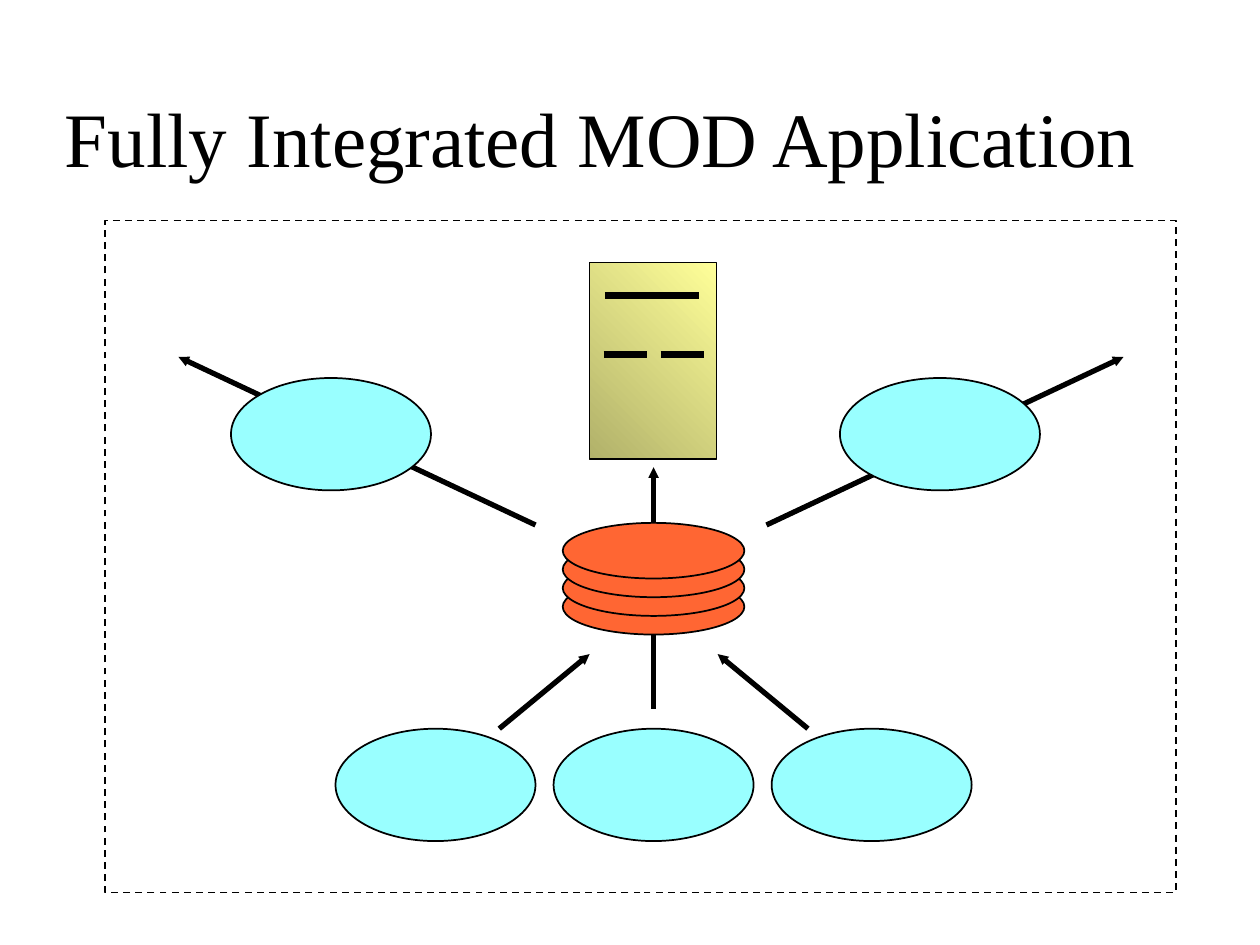
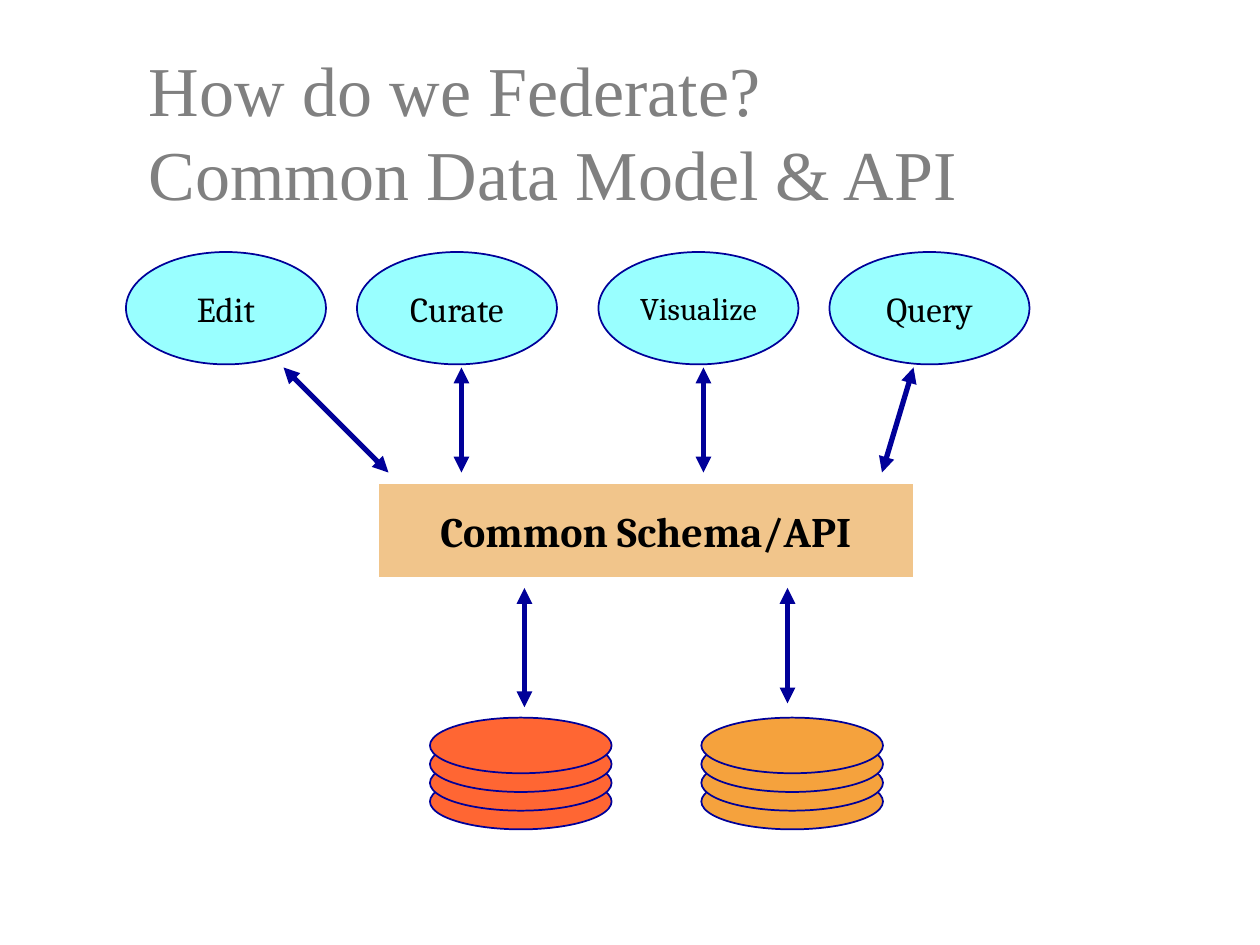
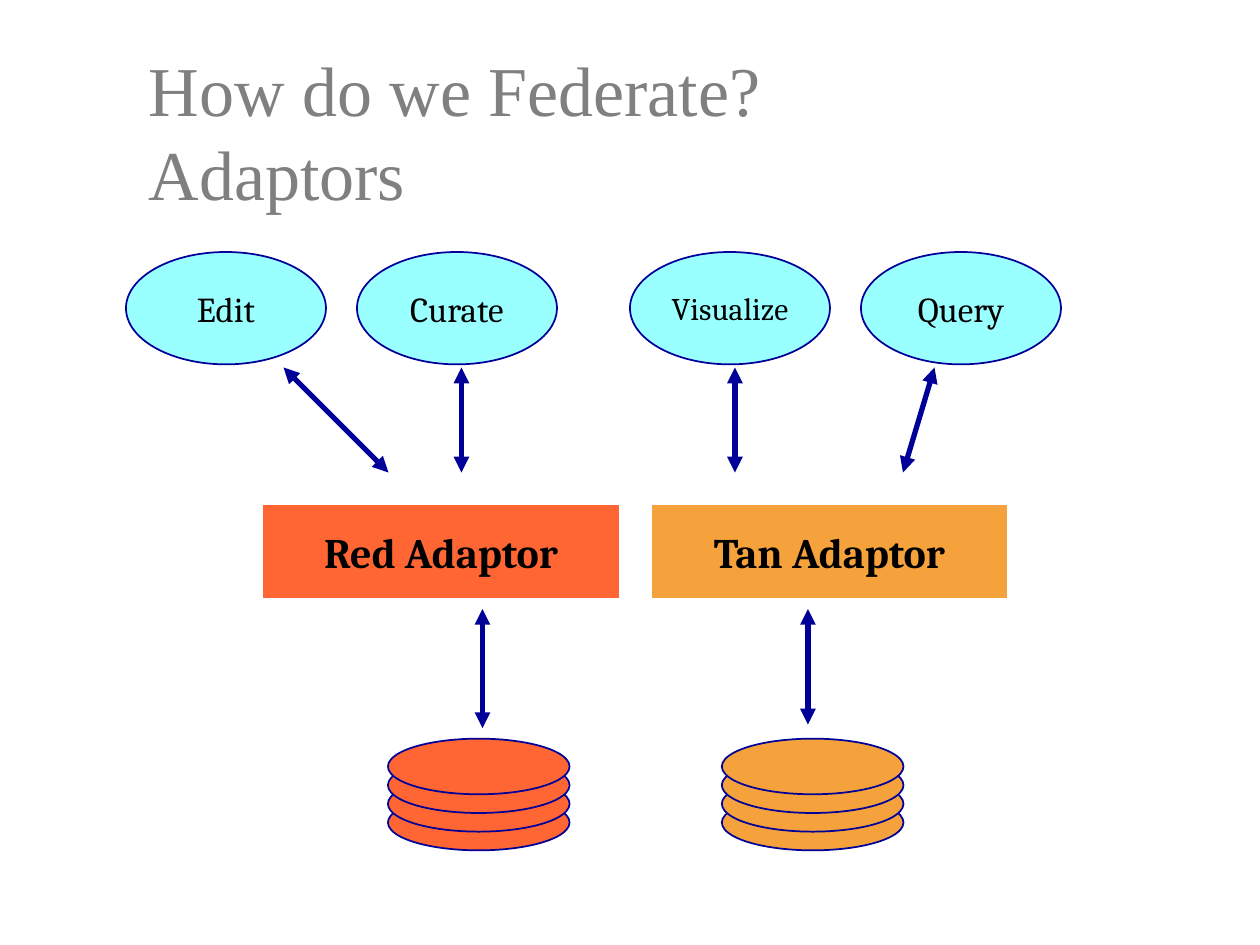
from lxml.etree import SubElement
from pptx import Presentation
from pptx.dml.color import RGBColor
from pptx.enum.dml import MSO_LINE
from pptx.enum.shapes import MSO_CONNECTOR, MSO_SHAPE
from pptx.enum.text import MSO_ANCHOR, PP_ALIGN
from pptx.oxml.ns import qn
from pptx.util import Inches, Pt

# The slide is a grid of 120 columns by 90 rows.
COLS, ROWS = 120, 90
BLACK, WHITE, GRAY, NAVY = "000000", "FFFFFF", "808080", "000099"
CYAN, RED, TAN, PALE_TAN = "99FFFF", "FF6633", "F5A23D", "F1C58B"
PAPER_LIGHT, PAPER_DARK = "FFFF99", "B1B16A"
SERIF, LABEL_FONT = "Times New Roman", "Cambria"
TOOL_W, TOOL_H = 19.05, 10.7
DISC_W, DISC_H, DISC_STEP, DISCS = 17.3, 5.3, 1.78, 4

prs = Presentation()
prs.slide_width, prs.slide_height = Inches(10), Inches(7.5)


def grid(*values):
    return [int(prs.slide_width * v / COLS) for v in values]


def rgb(color):
    return RGBColor.from_string(color)


def style_text(p, text, size, font, color, bold=False):
    p.text = text
    for r in p.runs:
        r.font.size, r.font.name, r.font.bold = Pt(size), font, bold
        r.font.color.rgb = rgb(color)


def add_slide(title, box, size, color):
    s = prs.slides.add_slide(prs.slide_layouts[6])
    tf = s.shapes.add_textbox(*grid(*box)).text_frame
    tf.word_wrap = True
    tf.vertical_anchor = MSO_ANCHOR.BOTTOM
    style_text(tf.paragraphs[0], title, size, SERIF, color)
    return s


def add_node(s, kind, box, fill, line, text="", size=20, bold=False):
    sp = s.shapes.add_shape(kind, *grid(*box))
    sp.shadow.inherit = False
    if fill:
        sp.fill.solid()
        sp.fill.fore_color.rgb = rgb(fill)
    else:
        sp.fill.background()
    sp.line.color.rgb = rgb(line)
    sp.line.width = Pt(1)
    if text:
        tf = sp.text_frame
        tf.word_wrap = False
        tf.vertical_anchor = MSO_ANCHOR.MIDDLE
        p = tf.paragraphs[0]
        style_text(p, text, size, LABEL_FONT, BLACK, bold)
        p.alignment = PP_ALIGN.CENTER
    return sp


def add_line(s, x1, y1, x2, y2, color=BLACK, width=3, ends=(), head="sm"):
    """Draw a line with an arrowhead at each of the given ends."""
    line = s.shapes.add_connector(MSO_CONNECTOR.STRAIGHT, *grid(x1, y1, x2, y2))
    line.line.color.rgb = rgb(color)
    line.line.width = Pt(width)
    ln = line.line._get_or_add_ln()
    for end in ends:
        SubElement(ln, qn(f"a:{end}"), type="triangle", w=head, len=head)
    SubElement(line._element.spPr, qn("a:effectLst"))


def add_tool(s, x, y, line, text="", size=20):
    add_node(s, MSO_SHAPE.OVAL, (x, y, TOOL_W, TOOL_H), CYAN, line, text, size)


def add_database(s, x, y, fill, line):
    for i in reversed(range(DISCS)):
        box = (x, y + i * DISC_STEP, DISC_W, DISC_H)
        add_node(s, MSO_SHAPE.OVAL, box, fill, line)


def add_document(s, x, y, w, h):
    page = add_node(s, MSO_SHAPE.RECTANGLE, (x, y, w, h), None, BLACK)
    page.fill.gradient()
    page.fill.gradient_angle = 225
    for stop, color, position in zip(page.fill.gradient_stops,
                                     (PAPER_LIGHT, PAPER_DARK), (0, 1)):
        stop.color.rgb = rgb(color)
        stop.position = position
    for left, right, row in ((0.12, 0.86, 0.17), (0.11, 0.45, 0.47), (0.56, 0.9, 0.47)):
        add_line(s, x + left * w, y + row * h, x + right * w, y + row * h, width=4)


def integrated_slide():
    s = add_slide("Fully Integrated MOD Application", (5, 3.5, 105, 14.5), 44, BLACK)
    frame = add_node(s, MSO_SHAPE.RECTANGLE, (10, 21, 102, 64), None, BLACK)
    frame.line.dash_style = MSO_LINE.DASH
    center = 62.25
    for x1, y1, x2, y2 in ((73, 50, 107, 34), (51, 50, 17, 34),
                           (center, 67.5, center, 44.5)):
        add_line(s, x1, y1, x2, y2, ends=["tailEnd"])
    add_database(s, center - DISC_W / 2, 49.8, RED, BLACK)
    add_document(s, center - 6.1, 25, 12.1, 18.75)
    for i in (-1, 0, 1):
        add_tool(s, center + i * 20.77 - TOOL_W / 2, 69.4, BLACK)
    for side in (-1, 1):
        add_line(s, center + side * 14.7, 69.4, center + side * 6.1, 62.3, ends=["tailEnd"])
    for x in (22, 80):
        add_tool(s, x, 36, BLACK)


def federation_slide(topic, right_pair, last_link, layer_row, layers, stores):
    """Tools on top, a layer of schema or adaptors, databases below."""
    s = add_slide(f"How do we Federate?\n{topic}", (13, 4, 102, 17), 40, GRAY)

    def add_link(*ends):
        add_line(s, *ends, color=NAVY, ends=("headEnd", "tailEnd"), head="med")

    tools = (("Edit", 20), ("Curate", 20), ("Visualize", 18), ("Query", 20))
    tool_cols = [pair + i * 22 for pair in (12, right_pair) for i in (0, 1)]
    for x, (name, size) in zip(tool_cols, tools):
        add_tool(s, x, 24, NAVY, name, size)
    middle = right_pair + 10
    for low, high in ((37, 27), (43.95, 43.95), (middle, middle), (last_link, last_link + 3)):
        add_link(low, 45, high, 35)
    for x, w, fill, name in layers:
        add_node(s, MSO_SHAPE.RECTANGLE, (x, layer_row, w, 9), fill, WHITE, name, 24, True)
    for (x, link_x), fill, length in zip(stores, (RED, TAN), (11.35, 11)):
        add_link(link_x, layer_row + 10, link_x, layer_row + 10 + length)
        add_database(s, x, layer_row + 22.35, fill, NAVY)


def main():
    integrated_slide()
    federation_slide("Common Data Model & API", 57, 84, 46,
                     [(36, 51, PALE_TAN, "Common Schema/API")],
                     [(40.95, 49.95), (66.8, 75)])
    federation_slide("Adaptors", 60, 86, 48,
                     [(25, 34, RED, "Red Adaptor"), (62, 34, TAN, "Tan Adaptor")],
                     [(36.95, 45.95), (68.75, 76.95)])
    prs.save("out.pptx")


if __name__ == "__main__":
    main()
